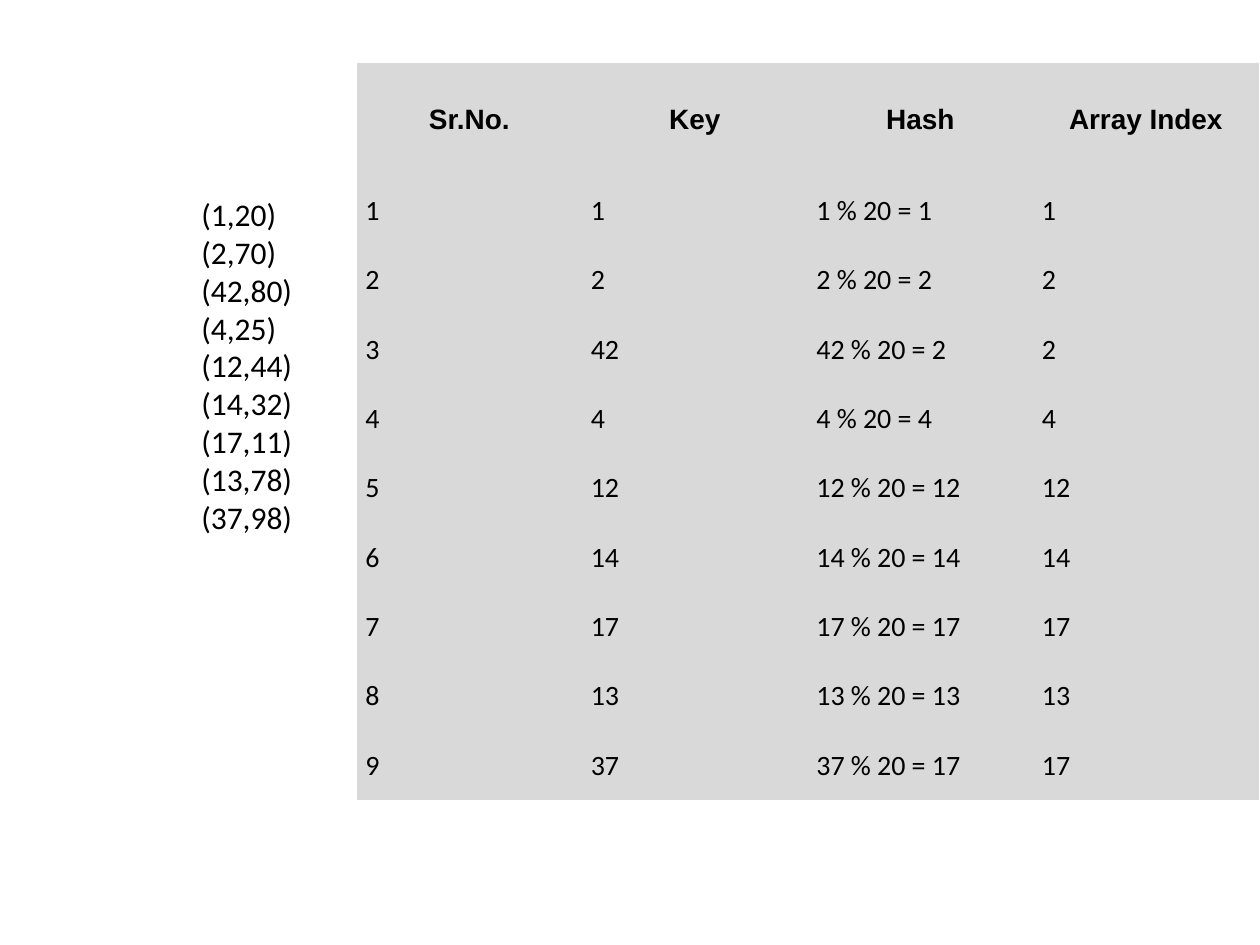
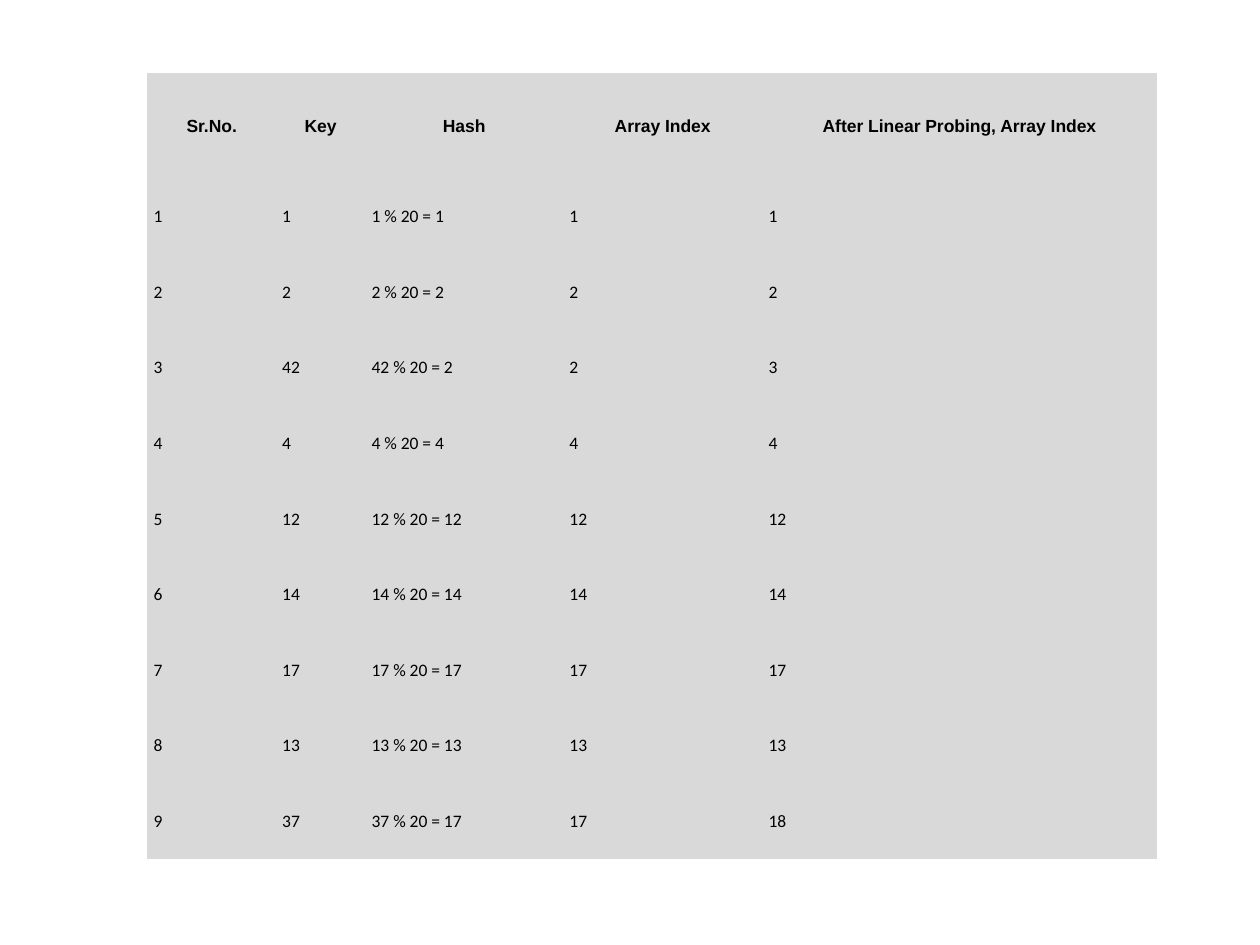
from dataclasses import dataclass

from pptx import Presentation
from pptx.dml.color import RGBColor
from pptx.enum.text import MSO_ANCHOR, MSO_AUTO_SIZE, PP_ALIGN
from pptx.oxml.ns import qn
from pptx.util import Inches, Pt

COLORS = {"text": "000000", "cell": "D9D9D9", "page": "FFFFFF"}
HEAD_FONT, BODY_FONT = "Arial", "Calibri"
PLAIN_STYLE = "{2D5ABB26-0587-4C30-8999-92F81FD0307C}"  # no fill, no grid
SLOTS = 20
PAIRS = [(1, 20), (2, 70), (42, 80), (4, 25), (12, 44),
         (14, 32), (17, 11), (13, 78), (37, 98)]
HEADS = ["Sr.No.", "Key", "Hash", "Array Index"]


@dataclass
class Grid:
    left: float
    top: float
    widths: list[float]
    head_high: float
    row_high: float
    inset: float
    size: int
    rows: list[list[str]]


def hash_rows() -> list[list[str]]:
    """One row per key: number, key, hash sum and array index."""
    return [[str(num), str(key), f"{key} % {SLOTS} = {key % SLOTS}", str(key % SLOTS)]
            for num, (key, _) in enumerate(PAIRS, 1)]


def probe_slots() -> list[str]:
    """Step each key on to the next free slot."""
    used: list[int] = []
    for key, _ in PAIRS:
        slot = key % SLOTS
        while slot in used:
            slot = (slot + 1) % SLOTS
        used.append(slot)
    return [str(slot) for slot in used]


def set_font(para, name: str, size: int, bold: bool = False) -> None:
    font = para.font
    font.name, font.size, font.bold = name, Pt(size), bold
    font.color.rgb = RGBColor.from_string(COLORS["text"])


def add_page(deck):
    slide = deck.slides.add_slide(deck.slide_layouts[6])
    fill = slide.background.fill
    fill.solid()
    fill.fore_color.rgb = RGBColor.from_string(COLORS["page"])
    return slide


def fill_cell(cell, text: str, grid: Grid, head: bool) -> None:
    cell.text = text
    cell.vertical_anchor = MSO_ANCHOR.MIDDLE
    cell.margin_left = cell.margin_right = Inches(grid.inset)
    cell.margin_top = cell.margin_bottom = Inches(grid.inset)
    cell.fill.solid()
    cell.fill.fore_color.rgb = RGBColor.from_string(COLORS["cell"])
    para = cell.text_frame.paragraphs[0]
    para.alignment = PP_ALIGN.CENTER if head else PP_ALIGN.LEFT
    set_font(para, HEAD_FONT if head else BODY_FONT, grid.size, head)


def draw_grid(slide, grid: Grid) -> None:
    highs = [grid.head_high] + [grid.row_high] * (len(grid.rows) - 1)
    frame = slide.shapes.add_table(
        len(highs), len(grid.widths), Inches(grid.left), Inches(grid.top),
        Inches(sum(grid.widths)), Inches(sum(highs)))
    table = frame.table
    table.first_row = table.horz_banding = False
    table._tbl.tblPr.find(qn("a:tableStyleId")).text = PLAIN_STYLE
    for col, width in zip(table.columns, grid.widths):
        col.width = Inches(width)
    for row, (high, texts) in enumerate(zip(highs, grid.rows)):
        table.rows[row].height = Inches(high)
        for col, text in enumerate(texts):
            fill_cell(table.cell(row, col), text, grid, row == 0)


def draw_pairs(slide) -> None:
    box = slide.shapes.add_textbox(Inches(1.5), Inches(1.5), Inches(5), Inches(2.83))
    frame = box.text_frame
    frame.word_wrap = True
    frame.auto_size = MSO_AUTO_SIZE.SHAPE_TO_FIT_TEXT
    frame.text = "\n".join(f"({key},{value})" for key, value in PAIRS)
    for para in frame.paragraphs:
        set_font(para, BODY_FONT, 18)


def main() -> None:
    deck = Presentation()
    deck.slide_width, deck.slide_height = Inches(10), Inches(7.5)
    rows = hash_rows()

    # Key and value pairs with their hashes
    slide = add_page(deck)
    draw_pairs(slide)
    draw_grid(slide, Grid(2.83, 0.5, [1.79] * 4, 0.9, 0.55, 0.07, 16, [HEADS] + rows))

    # The same keys after linear probing
    probed = [HEADS + ["After Linear Probing, Array Index"]]
    probed += [row + [slot] for row, slot in zip(rows, probe_slots())]
    draw_grid(add_page(deck), Grid(1.17, 0.58, [1.02, 0.71, 1.57, 1.58, 3.13],
                                   0.84, 0.6, 0.05, 10, probed))

    deck.save("out.pptx")


if __name__ == "__main__":
    main()
